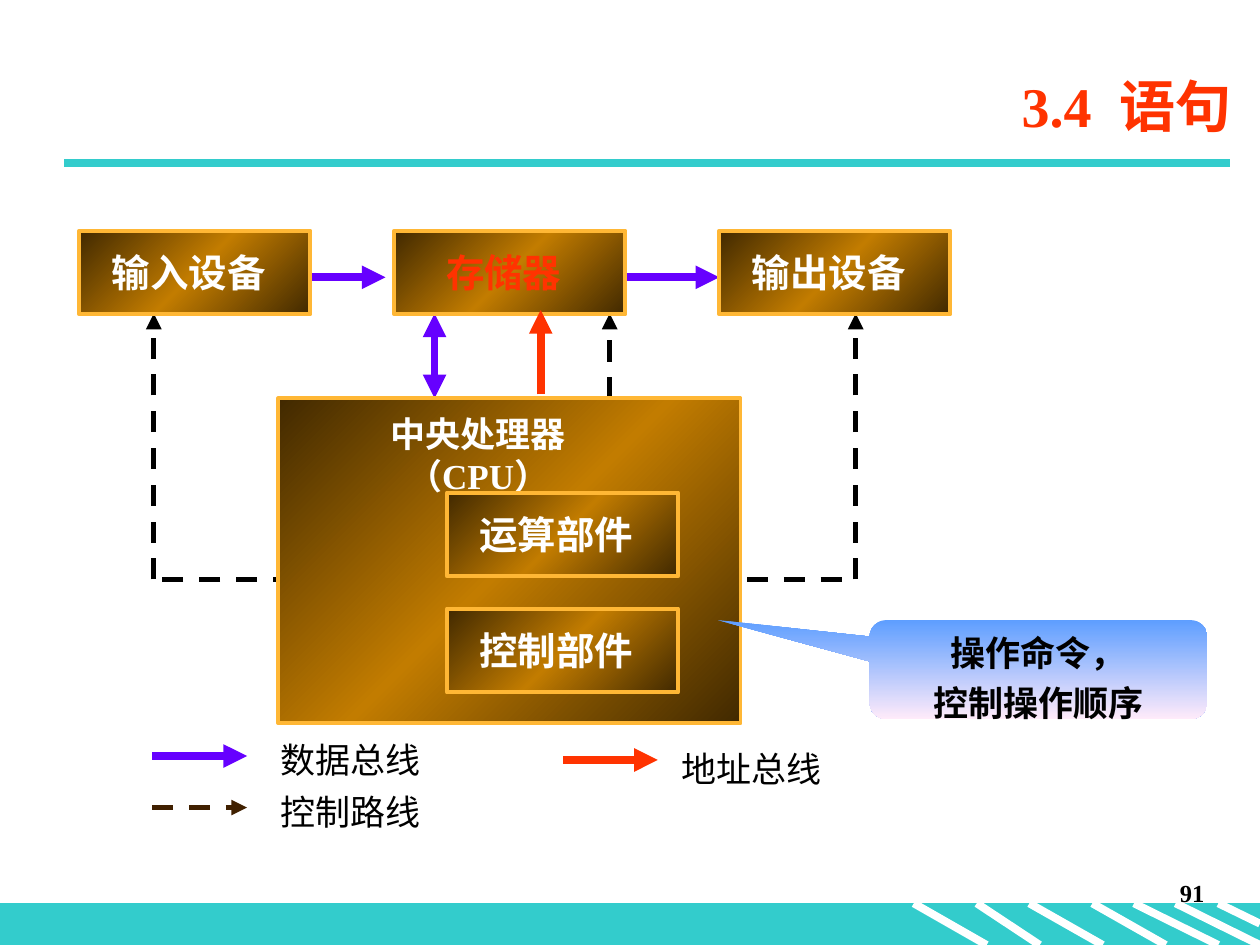
from dataclasses import dataclass

from lxml.etree import SubElement
from pptx import Presentation
from pptx.dml.color import RGBColor as Rgb
from pptx.enum.dml import MSO_LINE_DASH_STYLE as Dash
from pptx.enum.shapes import MSO_CONNECTOR as Conn, MSO_SHAPE as Kind
from pptx.enum.text import MSO_ANCHOR as Anchor, PP_ALIGN as Align
from pptx.oxml.ns import qn
from pptx.util import Cm, Pt

HEX = {
    "teal": "33CCCC", "white": "FFFFFF", "black": "000000",
    "red": "FF3300", "violet": "6600FF", "brown": "402000",
    "gold": "FFB735", "dark": "412900", "amber": "C27C00",
    "sky": "5E9EFF", "pink": "FFEBFA",
}
SERIF, SANS = "Times New Roman", "Noto Sans CJK SC"
BRONZE = ["dark", "amber", "dark"]


@dataclass
class Line:
    x1: float
    y1: float
    x2: float
    y2: float
    hue: str
    width: float = 4.5
    dash: bool = False
    head: bool = False
    tail: bool = True


@dataclass
class Unit:
    x: float
    y: float
    name: str
    hue: str = "white"


@dataclass
class Note:
    x: float
    y: float
    w: float
    h: float
    text: str
    size: float = 20
    hue: str = "black"
    face: str = SANS
    bold: bool = False
    align: Align = Align.LEFT


def rgb(hue: str) -> Rgb:
    return Rgb.from_string(HEX[hue])


def style(frame, size: float, hue: str, face: str, bold: bool, align: Align) -> None:
    for para in frame.paragraphs:
        para.alignment = align
        for run in para.runs:
            font = run.font
            font.size, font.bold, font.name = Pt(size), bold, face
            font.color.rgb = rgb(hue)
            SubElement(font._element, qn("a:ea"), typeface=SANS)


def draw_line(shapes, line: Line) -> None:
    ends = [Cm(v) for v in (line.x1, line.y1, line.x2, line.y2)]
    shape = shapes.add_connector(Conn.STRAIGHT, *ends)
    shape.line.color.rgb = rgb(line.hue)
    shape.line.width = Pt(line.width)
    if line.dash:
        shape.line.dash_style = Dash.DASH
    pen = shape.line._get_or_add_ln()
    for tag, shown in (("a:headEnd", line.head), ("a:tailEnd", line.tail)):
        if shown:
            SubElement(pen, qn(tag), type="triangle")
    SubElement(shape._element.spPr, qn("a:effectLst"))


def shade(shape, hues: list[str], angle: int) -> None:
    shape.fill.gradient()
    shape.fill.gradient_angle = 360 - angle
    stops = shape._element.spPr.find(".//" + qn("a:gsLst"))
    for old in list(stops):
        stops.remove(old)
    for i, hue in enumerate(hues):
        stop = SubElement(stops, qn("a:gs"), pos=str(100000 * i // (len(hues) - 1)))
        SubElement(stop, qn("a:srgbClr"), val=HEX[hue])


def draw_note(shapes, note: Note) -> None:
    box = shapes.add_textbox(Cm(note.x), Cm(note.y), Cm(note.w), Cm(note.h))
    frame = box.text_frame
    frame.word_wrap = True
    frame.text = note.text
    style(frame, note.size, note.hue, note.face, note.bold, note.align)


def draw_panel(shapes, x: float, y: float, w: float, h: float) -> None:
    shape = shapes.add_shape(Kind.RECTANGLE, Cm(x), Cm(y), Cm(w), Cm(h))
    shape.shadow.inherit = False
    shade(shape, BRONZE, 45)
    shape.line.color.rgb = rgb("gold")
    shape.line.width = Pt(2.25)


def draw_unit(shapes, unit: Unit) -> None:
    draw_panel(shapes, unit.x, unit.y, 4.66, 1.69)
    draw_note(shapes, Note(unit.x + 0.25, unit.y + 0.25, 3.91, 1.19, unit.name,
                           22, unit.hue, SERIF, True, Align.CENTER))


def draw_frame(slide) -> None:
    shapes = slide.shapes
    # Footer band with slanted stripes
    top, base = 18.21, 19.05
    band = shapes.add_shape(Kind.RECTANGLE, 0, Cm(top), Cm(25.4), Cm(base - top))
    band.shadow.inherit = False
    band.fill.solid()
    band.fill.fore_color.rgb = band.line.color.rgb = rgb("teal")
    band.line.width = Pt(0.75)
    for x1, x2 in ((18.42, 19.89), (19.69, 20.96), (20.75, 22.23),
                   (22.02, 23.5), (22.86, 24.56), (23.7, 25.4)):
        draw_line(shapes, Line(x1, top, x2, base, "white", tail=False))
    draw_line(shapes, Line(24.56, top, 25.4, 18.62, "white", tail=False))
    # Title and its rule
    draw_line(shapes, Line(1.3, 3.28, 24.79, 3.28, "teal", tail=False))
    title = shapes.title
    title.left, title.top, title.width, title.height = Cm(3.5), Cm(1.12), Cm(21.59), Cm(2)
    frame = title.text_frame
    frame.text = "3.4  语句"
    frame.vertical_anchor = Anchor.MIDDLE
    style(frame, 32, "red", SERIF, True, Align.RIGHT)
    # Page number
    draw_note(shapes, Note(19.25, 17.58, 5.28, 1.27, "91", 14,
                           face=SERIF, bold=True, align=Align.RIGHT))


def draw_call(shapes) -> None:
    call = shapes.add_shape(Kind.ROUNDED_RECTANGULAR_CALLOUT,
                            Cm(17.53), Cm(12.5), Cm(6.81), Cm(2))
    call.shadow.inherit = False
    for i, value in enumerate((-0.95, -0.5, 0.17)):
        call.adjustments[i] = value
    shade(call, ["sky", "pink"], 90)
    call.line.fill.background()
    frame = call.text_frame
    frame.text = "操作命令，\n控制操作顺序"
    frame.vertical_anchor = Anchor.TOP
    style(frame, 20, "black", SERIF, True, Align.CENTER)
    frame.paragraphs[1].space_before = Pt(5)


def main() -> None:
    deck = Presentation()
    deck.slide_width, deck.slide_height = Cm(25.4), Cm(19.05)
    slide = deck.slides.add_slide(deck.slide_layouts[5])
    shapes = slide.shapes
    draw_frame(slide)

    # Data and control paths, behind the units
    row, low, cpu, edge = 5.59, 11.68, 8.03, 6.32
    for line in (
        Line(6.25, row, 7.77, row, "violet"),
        Line(12.55, row, 14.5, row, "violet"),
        Line(8.76, cpu, 8.76, edge, "violet", head=True),
        Line(5.92, low, 3.1, low, "black", 3, True, tail=False),
        Line(15.06, low, 17.25, low, "black", 3, True, tail=False),
        Line(3.1, low, 3.1, edge, "black", 3, True),
        Line(17.25, low, 17.25, edge, "black", 3, True),
        Line(12.29, cpu, 12.29, edge, "black", 3, True),
    ):
        draw_line(shapes, line)

    # Processor panel, then all units
    draw_panel(shapes, 5.61, cpu, 9.32, 6.55)
    draw_note(shapes, Note(6.34, 8.2, 6.6, 1.96, "中央处理器（CPU）", 20,
                           "white", SERIF, True, Align.CENTER))
    for unit in (Unit(1.6, 4.65, "输入设备"), Unit(14.5, 4.65, "输出设备"),
                 Unit(7.95, 4.65, "存储器", "red"),
                 Unit(9.01, 9.93, "运算部件"), Unit(9.01, 12.27, "控制部件")):
        draw_unit(shapes, unit)

    # Address path and callout
    draw_line(shapes, Line(10.9, 7.95, 10.9, 6.25, "red"))
    draw_call(shapes)

    # Legend
    for line in (Line(3.07, 15.24, 4.98, 15.24, "violet"),
                 Line(3.07, 16.28, 4.98, 16.28, "brown", 3, True),
                 Line(11.35, 15.32, 13.26, 15.32, "red")):
        draw_line(shapes, line)
    for x, y, text in ((5.41, 14.76, "数据总线"), (5.41, 15.82, "控制路线"),
                       (13.49, 14.94, "地址总线")):
        draw_note(shapes, Note(x, y, 7.62, 1.12, text))

    deck.save("out.pptx")


if __name__ == "__main__":
    main()
